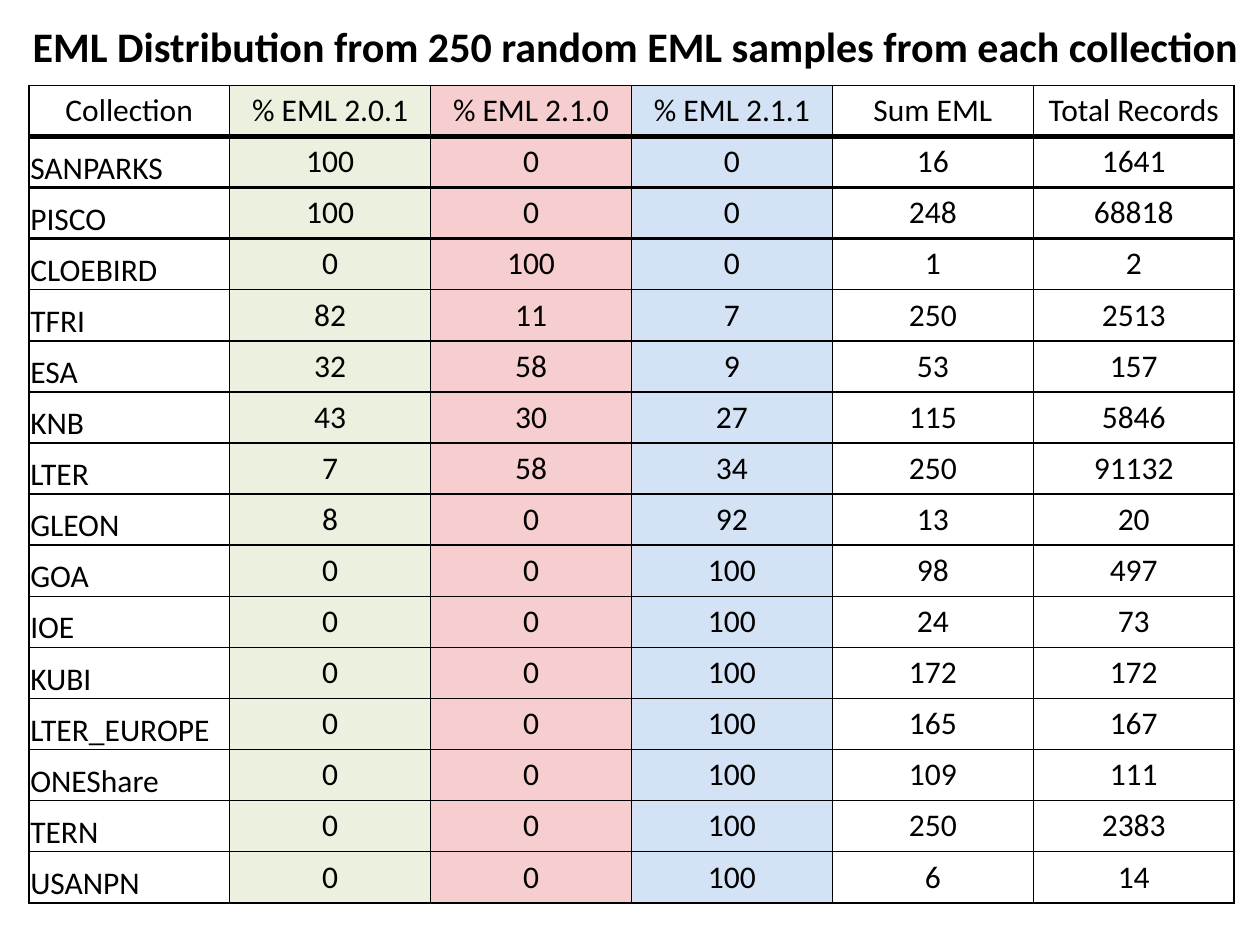
from dataclasses import dataclass

from lxml import etree
from pptx import Presentation
from pptx.dml.color import RGBColor
from pptx.enum.text import MSO_ANCHOR, MSO_AUTO_SIZE, PP_ALIGN
from pptx.oxml.ns import qn
from pptx.util import Cm, Pt

LEFT, CENTER = PP_ALIGN.LEFT, PP_ALIGN.CENTER
TOP, BOTTOM = MSO_ANCHOR.TOP, MSO_ANCHOR.BOTTOM
FIT_SHAPE = MSO_AUTO_SIZE.SHAPE_TO_FIT_TEXT


@dataclass(frozen=True)
class Theme:
    font: str = "Calibri"
    ink: str = "000000"
    green: str = "EBF1DE"
    red: str = "F7CECF"
    blue: str = "D3E2F4"
    title_size: float = 24
    table_size: float = 18
    thin: float = 1
    medium: float = 1.5
    thick: float = 3


@dataclass(frozen=True)
class Column:
    heading: str
    fill: str | None = None


@dataclass(frozen=True)
class Collection:
    name: str
    counts: tuple[int, int, int, int, int]


THEME = Theme()
TITLE = "EML Distribution from 250 random EML samples from each collection"
COLUMNS = [
    Column("Collection"),
    Column("% EML 2.0.1", THEME.green),
    Column("% EML 2.1.0", THEME.red),
    Column("% EML 2.1.1", THEME.blue),
    Column("Sum EML"),
    Column("Total Records"),
]
COLLECTIONS = [
    Collection("SANPARKS", (100, 0, 0, 16, 1641)),
    Collection("PISCO", (100, 0, 0, 248, 68818)),
    Collection("CLOEBIRD", (0, 100, 0, 1, 2)),
    Collection("TFRI", (82, 11, 7, 250, 2513)),
    Collection("ESA", (32, 58, 9, 53, 157)),
    Collection("KNB", (43, 30, 27, 115, 5846)),
    Collection("LTER", (7, 58, 34, 250, 91132)),
    Collection("GLEON", (8, 0, 92, 13, 20)),
    Collection("GOA", (0, 0, 100, 98, 497)),
    Collection("IOE", (0, 0, 100, 24, 73)),
    Collection("KUBI", (0, 0, 100, 172, 172)),
    Collection("LTER_EUROPE", (0, 0, 100, 165, 167)),
    Collection("ONEShare", (0, 0, 100, 109, 111)),
    Collection("TERN", (0, 0, 100, 250, 2383)),
    Collection("USANPN", (0, 0, 100, 6, 14)),
]
# Widths of the rules below the first rows; all others are thin
RULES = {0: THEME.thick, 1: THEME.medium, 2: THEME.medium}
COLUMN_WIDTH, ROW_HEIGHT = Cm(4.05), Cm(1.03)


def format_text(text_frame, size: float, bold: bool, alignment) -> None:
    for paragraph in text_frame.paragraphs:
        paragraph.alignment = alignment
        for run in paragraph.runs:
            run.font.name = THEME.font
            run.font.size = Pt(size)
            run.font.bold = bold
            run.font.color.rgb = RGBColor.from_string(THEME.ink)


def add_borders(cell, above: float, below: float) -> None:
    properties = cell._tc.get_or_add_tcPr()
    widths = {"lnL": THEME.thin, "lnR": THEME.thin, "lnT": above, "lnB": below}
    for side, width in widths.items():
        line = etree.SubElement(properties, qn(f"a:{side}"), w=str(Pt(width)))
        fill = etree.SubElement(line, qn("a:solidFill"))
        etree.SubElement(fill, qn("a:srgbClr"), val=THEME.ink)


def fill_cell(cell, color: str | None) -> None:
    if color is None:
        cell.fill.background()
    else:
        cell.fill.solid()
        cell.fill.fore_color.rgb = RGBColor.from_string(color)


def add_title(slide) -> None:
    shape = slide.shapes.add_textbox(Cm(0.41), Cm(0.28), Cm(25.17), Cm(1.27))
    text_frame = shape.text_frame
    text_frame.word_wrap = True
    text_frame.auto_size = FIT_SHAPE
    text_frame.text = TITLE
    format_text(text_frame, THEME.title_size, True, LEFT)


def add_distribution_table(slide) -> None:
    rows = [[column.heading for column in COLUMNS]]
    rows += [[item.name, *map(str, item.counts)] for item in COLLECTIONS]
    table = slide.shapes.add_table(
        len(rows), len(COLUMNS), Cm(0.58), Cm(1.72),
        COLUMN_WIDTH * len(COLUMNS), ROW_HEIGHT * len(rows),
    ).table
    table.first_row = table.horz_banding = False

    for row_index, values in enumerate(rows):
        above = RULES.get(row_index - 1, THEME.thin)
        below = RULES.get(row_index, THEME.thin)
        for column_index, (column, value) in enumerate(zip(COLUMNS, values)):
            cell = table.cell(row_index, column_index)
            is_name = row_index > 0 and column_index == 0
            cell.text_frame.text = value
            format_text(cell.text_frame, THEME.table_size, False,
                        LEFT if is_name else CENTER)
            cell.vertical_anchor = BOTTOM if is_name else TOP
            if is_name:
                cell.margin_left = cell.margin_right = cell.margin_top = Cm(0.03)
                cell.margin_bottom = Cm(0)
            add_borders(cell, above, below)
            fill_cell(cell, column.fill)


def main() -> None:
    presentation = Presentation()
    presentation.slide_width, presentation.slide_height = Cm(25.4), Cm(19.05)
    slide = presentation.slides.add_slide(presentation.slide_layouts[6])
    add_distribution_table(slide)
    add_title(slide)
    presentation.save("out.pptx")


if __name__ == "__main__":
    main()
